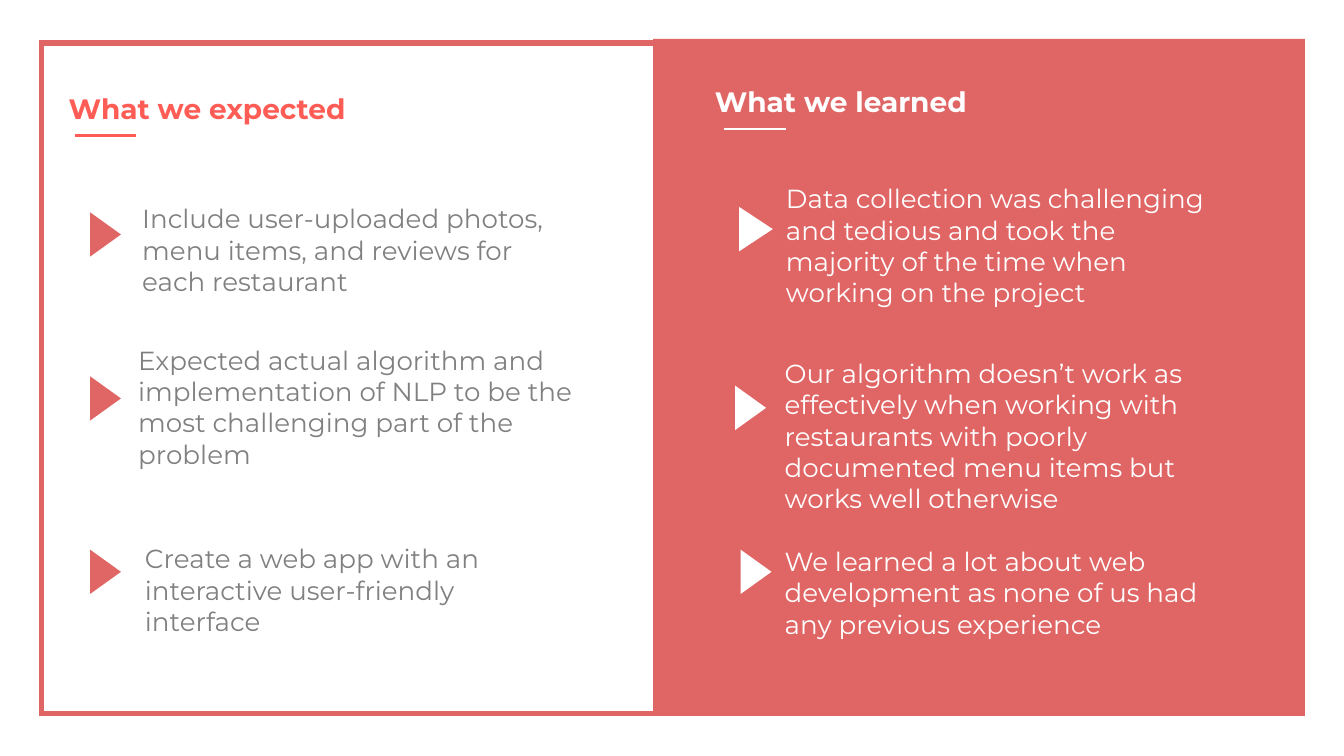
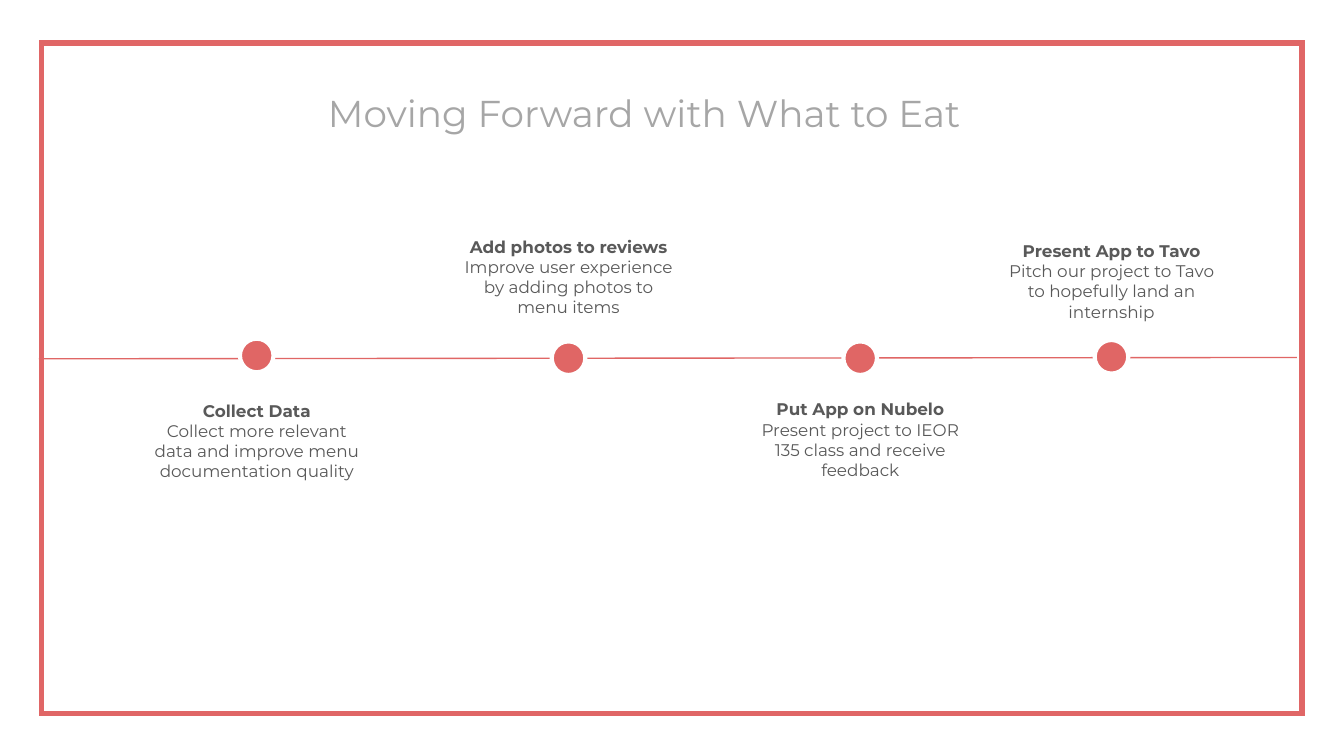
from pptx import Presentation
from pptx.dml.color import RGBColor
from pptx.enum.shapes import MSO_CONNECTOR, MSO_SHAPE
from pptx.enum.text import MSO_ANCHOR, MSO_AUTO_SIZE, PP_ALIGN
from pptx.oxml import parse_xml
from pptx.oxml.ns import nsdecls, qn
from pptx.util import Inches, Pt

FONT = "Montserrat"
COLORS = {
    "frame": "E06666",
    "coral": "E06665",
    "bright": "FF5C55",
    "white": "FFFFFF",
    "gray": "808080",
    "pale": "A6A6A6",
    "dark": "595959",
}


def color(name):
    return RGBColor.from_string(COLORS[name])


def place(shape, left, top, width, height):
    shape.left, shape.top = Inches(left), Inches(top)
    shape.width, shape.height = Inches(width), Inches(height)


def write(shape, lines, size, tint, bold=False, align=PP_ALIGN.LEFT, pad=0.05, wrap=True):
    frame = shape.text_frame
    frame.text = "\n".join(lines)
    frame.word_wrap = wrap
    frame.auto_size = MSO_AUTO_SIZE.NONE
    frame.vertical_anchor = MSO_ANCHOR.TOP
    frame.margin_left = frame.margin_right = Inches(0.1)
    frame.margin_top = frame.margin_bottom = Inches(pad)
    for index, para in enumerate(frame.paragraphs):
        para.alignment = align
        for run in para.runs:
            run.font.name = FONT
            run.font.size = Pt(size)
            run.font.bold = bold and index == 0
            run.font.color.rgb = color(tint)


def add_text(slide, box, lines, size, tint, **style):
    shape = slide.shapes.add_textbox(*map(Inches, box))
    write(shape, lines, size, tint, **style)


def set_title(slide, box, text, size, tint, **style):
    place(slide.shapes.title, *box)
    write(slide.shapes.title, [text], size, tint, **style)


def add_shape(slide, kind, box, fill=None, line=None, weight=0):
    shape = slide.shapes.add_shape(kind, *map(Inches, box))
    shape.shadow.inherit = False
    if fill:
        shape.fill.solid()
        shape.fill.fore_color.rgb = color(fill)
    else:
        shape.fill.background()
    if line:
        shape.line.color.rgb = color(line)
        shape.line.width = Pt(weight)
    else:
        shape.line.fill.background()
    return shape


def add_line(slide, start, end, tint, weight):
    line = slide.shapes.add_connector(
        MSO_CONNECTOR.STRAIGHT, *map(Inches, (*start, *end)))
    line.line.color.rgb = color(tint)
    line.line.width = Pt(weight)
    line._element.spPr.append(parse_xml(f"<a:effectLst {nsdecls('a')}/>"))


def add_slide(deck):
    slide = deck.slides.add_slide(deck.slide_layouts[5])
    frame = add_shape(slide, MSO_SHAPE.RECTANGLE, (0.31, 0.32, 9.38, 4.99),
                      line="frame", weight=3)
    edge = frame._element.spPr.find(qn("a:ln"))
    edge.append(parse_xml(f'<a:miter {nsdecls("a")} lim="800000"/>'))
    return slide


def add_items(slide, items, mark, tint):
    for text, box, (left, top, base) in items:
        arrow = add_shape(slide, MSO_SHAPE.ISOSCELES_TRIANGLE, (left, top, 0.33, base),
                          fill=mark)
        arrow.rotation = 90
        add_text(slide, box, [text], 14, tint)


def add_step(slide, middle, level, top, head, detail):
    dot, width = 0.25, 1.75
    add_shape(slide, MSO_SHAPE.OVAL, (middle - dot / 2, level, dot, dot),
              fill="coral", line="white", weight=2.25)
    add_text(slide, (middle - width / 2, top, width, 0.79), [head, detail], 9, "dark",
             bold=True, align=PP_ALIGN.CENTER, pad=0.1)


def build_lessons(deck):
    slide = add_slide(deck)
    add_shape(slide, MSO_SHAPE.RECTANGLE, (4.86, 0.29, 4.85, 5.03), fill="coral")
    set_title(slide, (0.41, 0.58, 3.62, 0.43), "What we expected", 15, "bright",
              bold=True, pad=0.1)
    add_text(slide, (5.22, 0.53, 3.62, 0.43), ["What we learned"], 15, "white",
             bold=True, pad=0.1)
    add_line(slide, (0.56, 1.01), (1.01, 1.01), "bright", 1.5)
    add_line(slide, (5.39, 0.96), (5.85, 0.96), "white", 1.5)
    hopes = [
        ("Include user-uploaded photos, menu items, and reviews for each restaurant",
         (0.96, 1.46, 3.39, 0.57), (0.62, 1.63, 0.23)),
        ("Expected actual algorithm and implementation of NLP to be the most "
         "challenging part of the problem",
         (0.93, 2.51, 3.44, 1.04), (0.62, 2.85, 0.23)),
        ("Create a web app with an interactive user-friendly interface",
         (0.98, 3.99, 3.39, 0.57), (0.62, 4.14, 0.23)),
    ]
    facts = [
        ("Data collection was challenging and tedious and took the majority of the "
         "time when working on the project",
         (5.75, 1.31, 3.44, 1.04), (5.46, 1.58, 0.25)),
        ("Our algorithm doesn’t work as effectively when working with restaurants "
         "with poorly documented menu items but works well otherwise",
         (5.74, 2.61, 3.59, 1.04), (5.42, 2.92, 0.23)),
        ("We learned a lot about web development as none of us had any previous experience",
         (5.74, 4.01, 3.59, 0.57), (5.46, 4.14, 0.23)),
    ]
    add_items(slide, hopes, "coral", "gray")
    add_items(slide, facts, "white", "white")


def build_plan(deck):
    slide = add_slide(deck)
    set_title(slide, (2.34, 0.62, 4.95, 0.44), "Moving Forward with What to Eat",
              20, "pale", wrap=False)
    add_line(slide, (0.29, 2.67), (9.65, 2.66), "coral", 0.75)
    steps = [
        (1.91, 2.52, 2.88, "Collect Data",
         "Collect more relevant data and improve menu documentation quality"),
        (4.23, 2.54, 1.66, "Add photos to reviews",
         "Improve user experience by adding photos to menu items"),
        (6.4, 2.54, 2.87, "Put App on Nubelo",
         "Present project to IEOR 135 class and receive feedback"),
        (8.27, 2.53, 1.69, "Present App to Tavo",
         "Pitch our project to Tavo to hopefully land an internship"),
    ]
    for step in steps:
        add_step(slide, *step)


def main():
    deck = Presentation()
    deck.slide_width = Inches(10)
    deck.slide_height = deck.slide_width * 9 // 16
    build_lessons(deck)
    build_plan(deck)
    deck.save("out.pptx")


if __name__ == "__main__":
    main()
